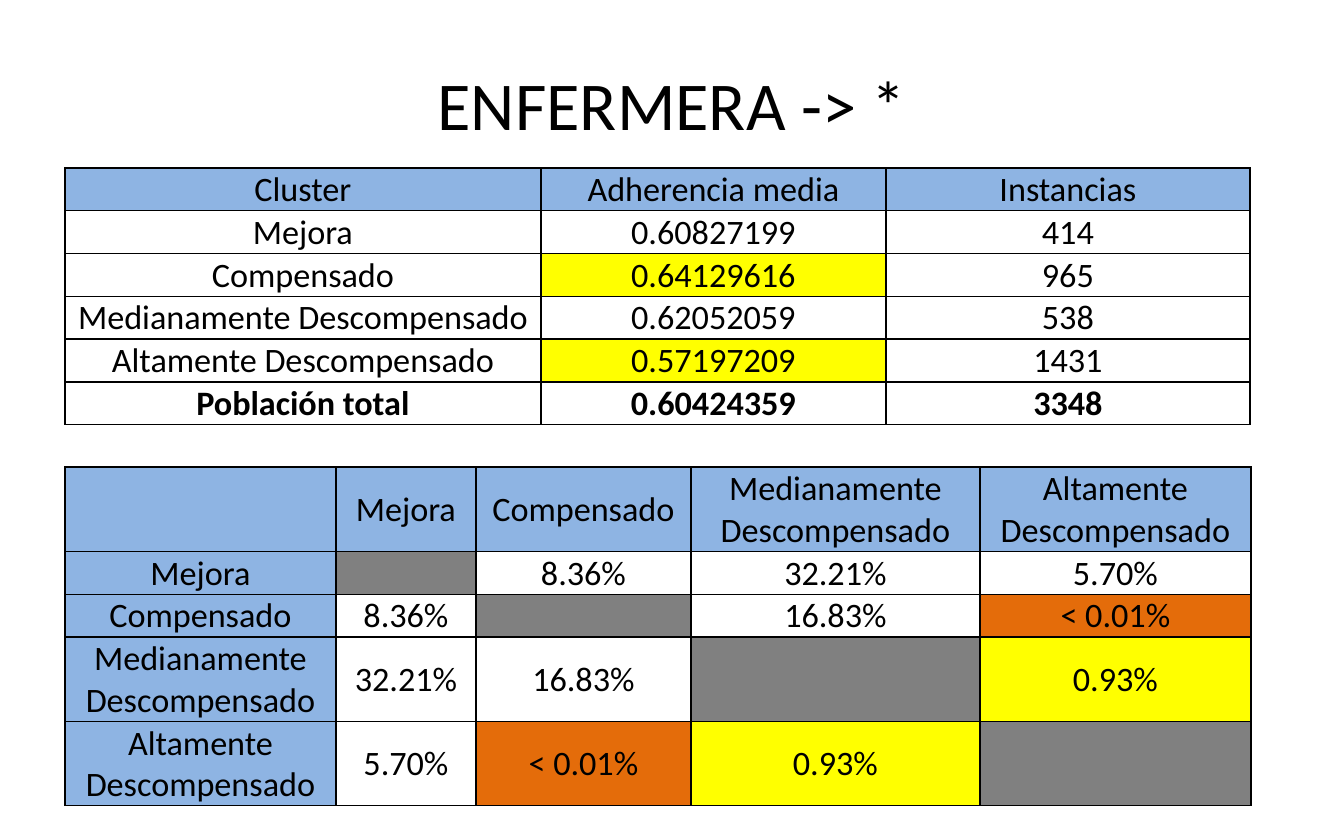
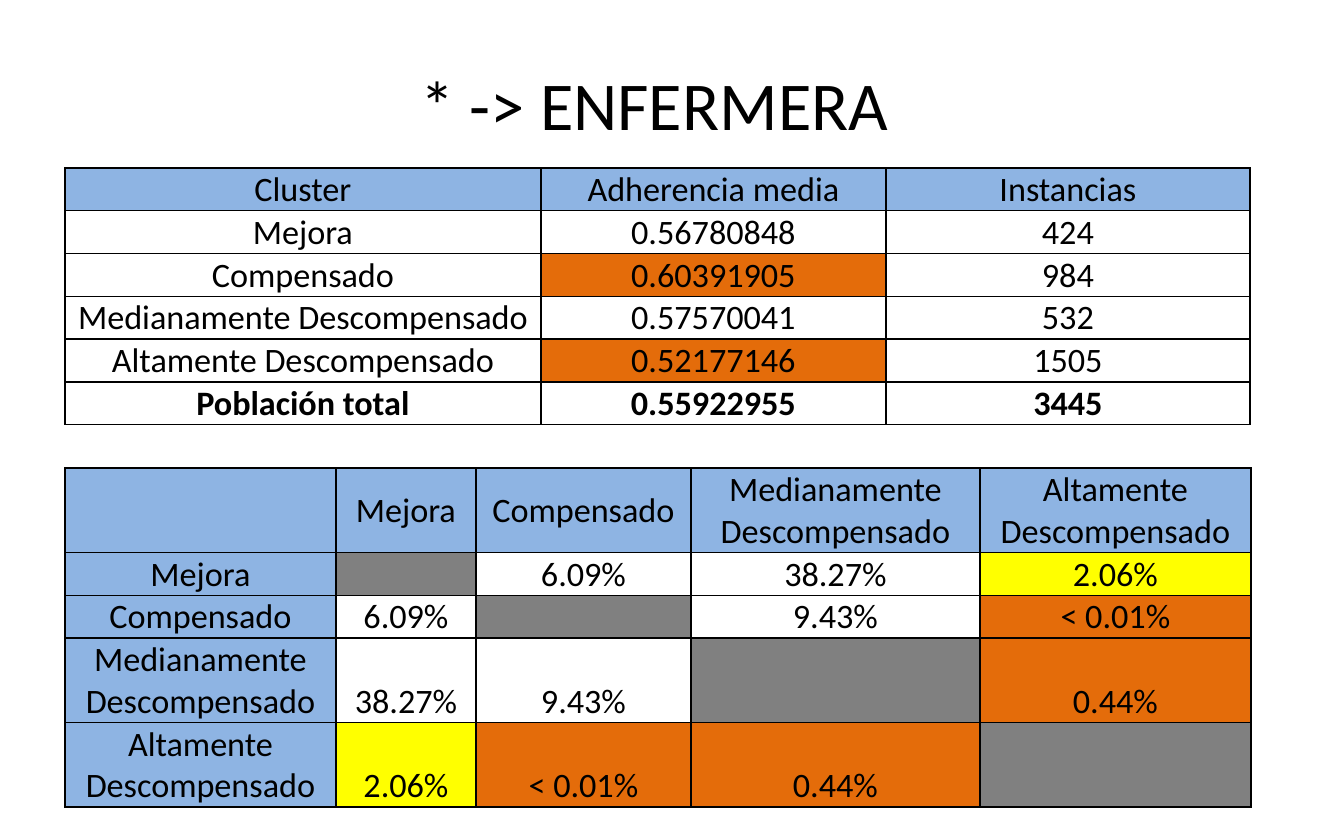
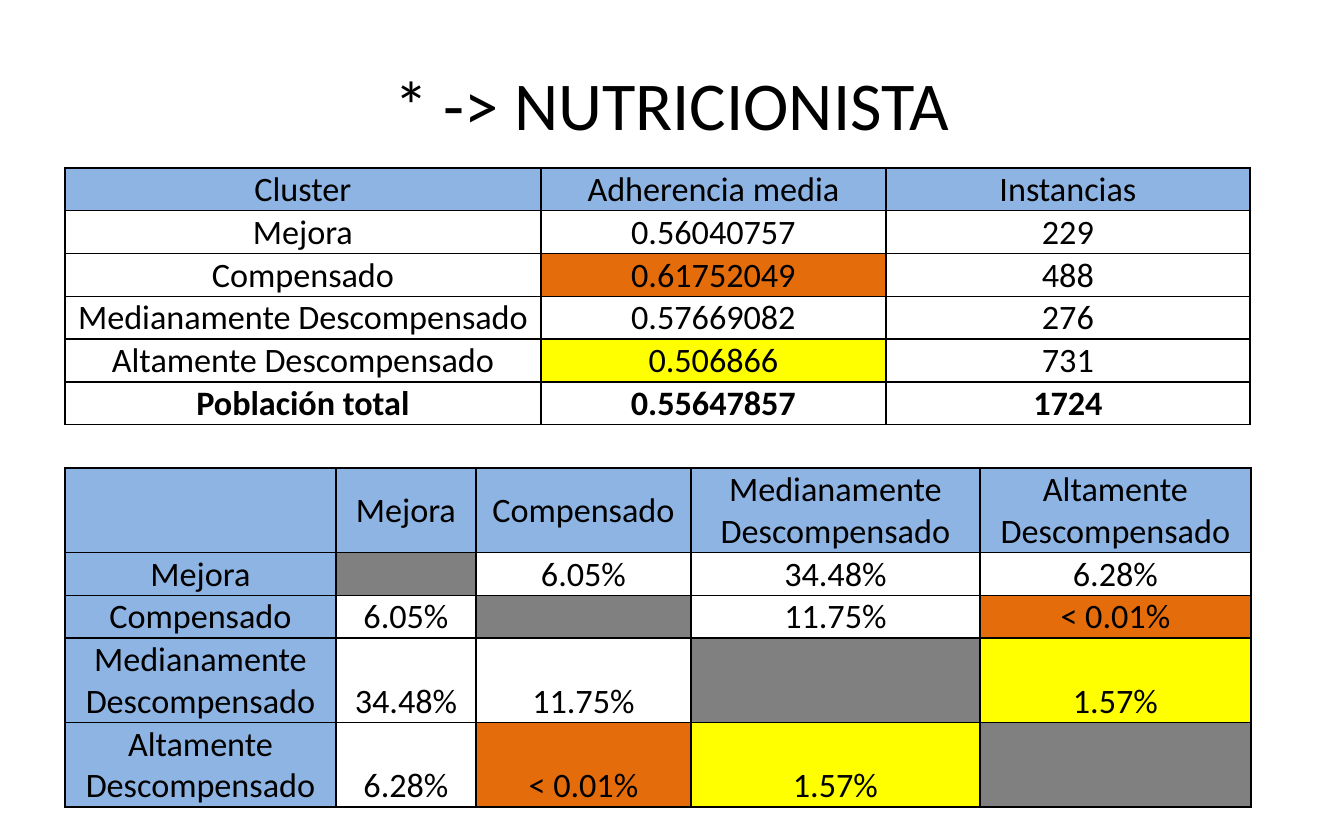
from itertools import combinations

from lxml.etree import SubElement
from pptx import Presentation
from pptx.dml.color import RGBColor
from pptx.enum.text import MSO_ANCHOR, PP_ALIGN
from pptx.oxml.ns import qn
from pptx.util import Inches, Pt

COLORS = {
    "black": "000000",
    "white": "FFFFFF",
    "blue": "8EB4E3",
    "gray": "808080",
    "yellow": "FFFF00",
    "orange": "E46C0A",
}
FONT = "Calibri"
GROUPS = ["Mejora", "Compensado", "Medianamente Descompensado", "Altamente Descompensado"]
HEADS = ["Cluster", "Adherencia media", "Instancias"]
TOTAL = "Población total"

SLIDES = [
    {
        "title": "ENFERMERA -> *",
        "means": [("0.60827199", "414", "white"), ("0.64129616", "965", "yellow"),
                  ("0.62052059", "538", "white"), ("0.57197209", "1431", "yellow")],
        "total": ("0.60424359", "3348"),
        "pairs": [("8.36%", "white"), ("32.21%", "white"), ("5.70%", "white"),
                  ("16.83%", "white"), ("< 0.01%", "orange"), ("0.93%", "yellow")],
        "top": 4.17,
        "anchor": MSO_ANCHOR.MIDDLE,
    },
    {
        "title": "* -> ENFERMERA\t",
        "means": [("0.56780848", "424", "white"), ("0.60391905", "984", "orange"),
                  ("0.57570041", "532", "white"), ("0.52177146", "1505", "orange")],
        "total": ("0.55922955", "3445"),
        "pairs": [("6.09%", "white"), ("38.27%", "white"), ("2.06%", "yellow"),
                  ("9.43%", "white"), ("< 0.01%", "orange"), ("0.44%", "orange")],
        "top": 4.18,
        "anchor": MSO_ANCHOR.BOTTOM,
    },
    {
        "title": "* -> NUTRICIONISTA",
        "means": [("0.56040757", "229", "white"), ("0.61752049", "488", "orange"),
                  ("0.57669082", "276", "white"), ("0.506866", "731", "yellow")],
        "total": ("0.55647857", "1724"),
        "pairs": [("6.05%", "white"), ("34.48%", "white"), ("6.28%", "white"),
                  ("11.75%", "white"), ("< 0.01%", "orange"), ("1.57%", "yellow")],
        "top": 4.18,
        "anchor": MSO_ANCHOR.BOTTOM,
    },
]

LEFT = 0.58
MEANS_TOP = 1.5
MEANS_COLS = [4.25, 3.08, 3.25]
PAIR_COLS = [2.42, 1.25, 1.92, 2.58, 2.42]
LINE, DOUBLE = 0.38, 0.75
MEANS_ROWS = [LINE] * 6
PAIR_ROWS = [DOUBLE, LINE, LINE, DOUBLE, DOUBLE]


def color(name):
    return RGBColor.from_string(COLORS[name])


def style(par, size, bold=False):
    par.alignment = PP_ALIGN.CENTER
    par.font.name = FONT
    par.font.size = Pt(size)
    par.font.bold = bold
    par.font.color.rgb = color("black")


def border(cell):
    props = cell._tc.get_or_add_tcPr()
    for side in ("a:lnL", "a:lnR", "a:lnT", "a:lnB"):
        line = SubElement(props, qn(side), w=str(Pt(1)))
        fill = SubElement(line, qn("a:solidFill"))
        SubElement(fill, qn("a:srgbClr"), val=COLORS["black"])


def fill_cell(cell, text, shade, anchor, bold):
    border(cell)
    cell.fill.solid()
    cell.fill.fore_color.rgb = color(shade)
    cell.margin_left = cell.margin_right = cell.margin_top = Inches(0.01)
    cell.margin_bottom = 0
    cell.vertical_anchor = anchor
    cell.text = text
    style(cell.text_frame.paragraphs[0], 22, bold)


def add_grid(slide, top, cols, rows, cells, anchor, last_bold=False):
    frame = slide.shapes.add_table(len(rows), len(cols), Inches(LEFT), Inches(top),
                                   Inches(sum(cols)), Inches(sum(rows)))
    table = frame.table
    table.first_row = table.horz_banding = False
    for col, width in zip(table.columns, cols):
        col.width = Inches(width)
    for row, height in zip(table.rows, rows):
        row.height = Inches(height)
    for r, line in enumerate(cells):
        for c, (text, shade) in enumerate(line):
            place = anchor if r and c else MSO_ANCHOR.MIDDLE
            fill_cell(table.cell(r, c), text, shade, place,
                      last_bold and r == len(rows) - 1)


def pair_cells(pairs):
    size = len(GROUPS)
    cells = [[("", "blue")] + [(name, "blue") for name in GROUPS]]
    cells += [[(name, "blue")] + [("", "gray")] * size for name in GROUPS]
    for (a, b), pair in zip(combinations(range(1, size + 1), 2), pairs):
        cells[a][b] = cells[b][a] = pair
    return cells


def mean_cells(means, total):
    cells = [[(head, "blue") for head in HEADS]]
    for name, (mean, count, shade) in zip(GROUPS, means):
        cells.append([(name, "white"), (mean, shade), (count, "white")])
    cells.append([(text, "white") for text in (TOTAL, *total)])
    return cells


def add_title(slide, text):
    title = slide.shapes.title
    title.left, title.top = Inches(0.6), Inches(0.3)
    title.width, title.height = Inches(10.8), Inches(1.25)
    title.text_frame.text = text
    title.text_frame.vertical_anchor = MSO_ANCHOR.MIDDLE
    style(title.text_frame.paragraphs[0], 44)


def main():
    deck = Presentation()
    deck.slide_width, deck.slide_height = Inches(12), Inches(7.5)
    for data in SLIDES:
        slide = deck.slides.add_slide(deck.slide_layouts[5])
        add_title(slide, data["title"])
        add_grid(slide, data["top"], PAIR_COLS, PAIR_ROWS,
                 pair_cells(data["pairs"]), data["anchor"])
        add_grid(slide, MEANS_TOP, MEANS_COLS, MEANS_ROWS,
                 mean_cells(data["means"], data["total"]), MSO_ANCHOR.BOTTOM, True)
    deck.save("out.pptx")


if __name__ == "__main__":
    main()
